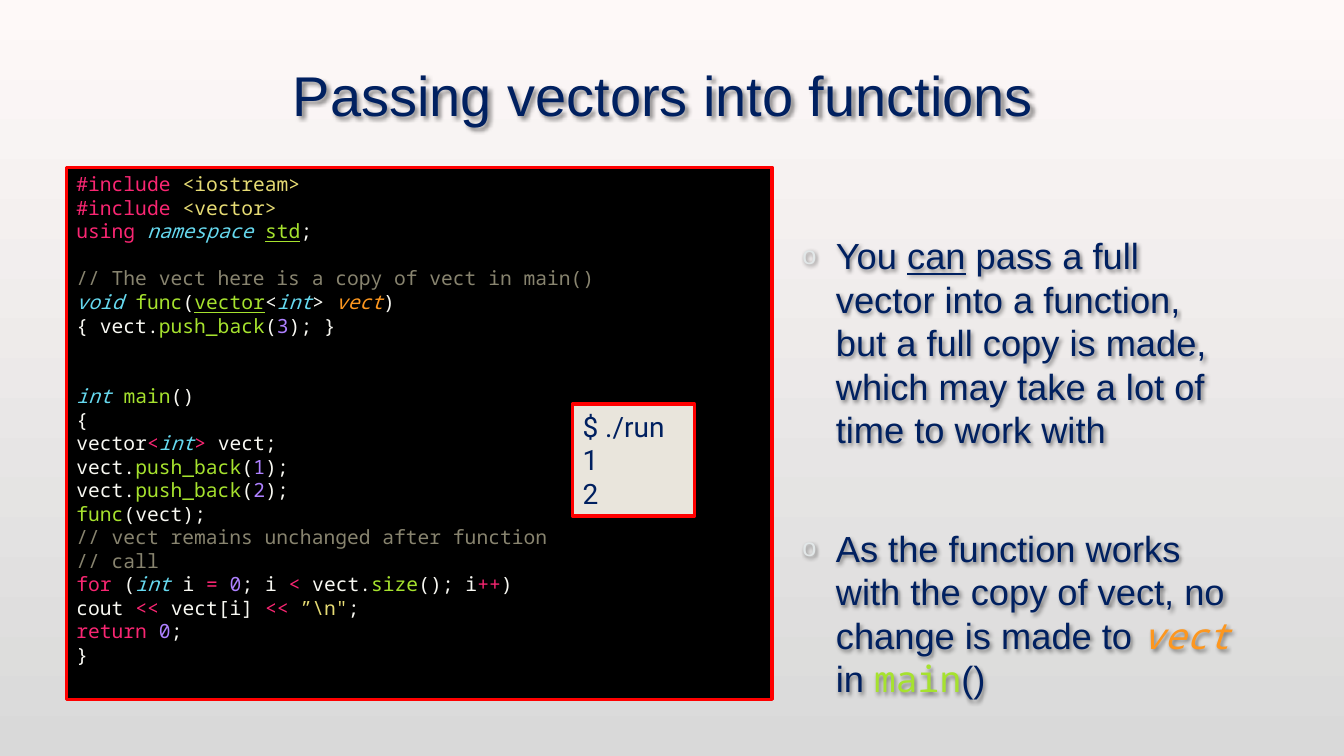
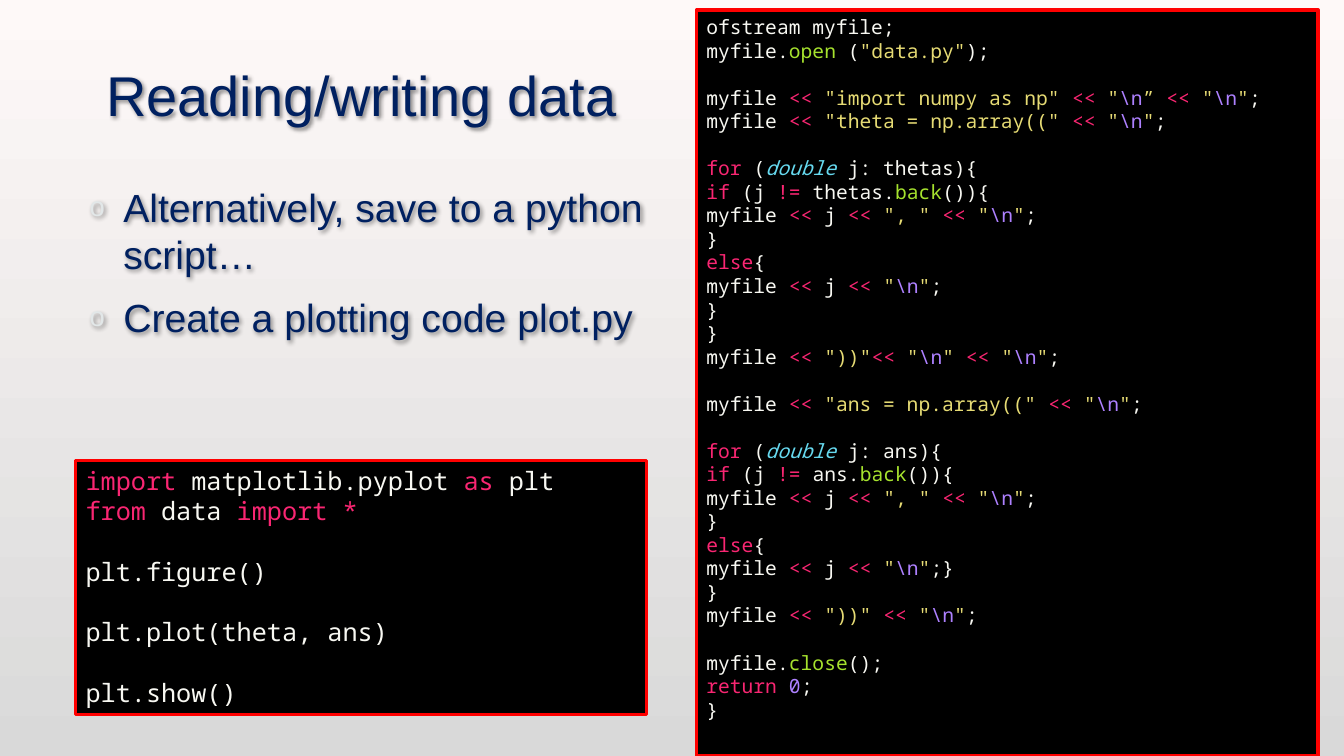
"""Build two lecture slides on C++ vectors and on writing data for Python."""
import dataclasses

import lxml.etree
import pptx
import pptx.dml.color
import pptx.enum.shapes
import pptx.enum.text
import pptx.oxml
import pptx.util


@dataclasses.dataclass(frozen=True)
class Theme:
    background: tuple = ("FEF9F8", "D9D9D9")
    navy: str = "002060"
    code_text: str = "F8F8F2"
    code_fill: str = "000000"
    output_fill: str = "E9E5DC"
    border: str = "FF0000"
    bullet: str = "E2E7E8"
    text_font: str = "Arial"
    code_font: str = "Noto Sans Mono"
    output_font: str = "Roboto"
    title_size: float = 40
    output_size: float = 20
    code_size: float = 14
    line_height: float = 1.2


theme = Theme()
Pt = pptx.util.Pt
RGBColor = pptx.dml.color.RGBColor
NAMESPACE = 'xmlns:a="http://schemas.openxmlformats.org/drawingml/2006/main"'

SYNTAX = {
    "k": {"color": "F92672"},
    "s": {"color": "E6DB74"},
    "t": {"color": "66D9EF", "italic": True},
    "f": {"color": "A6E22E"},
    "c": {"color": "A6E22E", "underline": True},
    "n": {"color": "AE81FF"},
    "a": {"color": "FD971F", "italic": True},
    "m": {"color": "88846F"},
}
SHADOW = f"""<a:effectLst {NAMESPACE}>
<a:outerShdw blurRad="38100" dist="25400" dir="2700000" algn="tl" rotWithShape="0">
<a:srgbClr val="000000"><a:alpha val="45000"/></a:srgbClr></a:outerShdw></a:effectLst>"""
BULLET = f"""<a:pPr {NAMESPACE}><a:buClr><a:srgbClr val="{theme.bullet}"/></a:buClr>
<a:buSzPct val="70000"/><a:buFont typeface="{theme.text_font}"/><a:buChar char="o"/></a:pPr>"""

VECTOR_CODE = r"""`k#include `s<iostream>
`k#include `s<vector>
`kusing `tnamespace `cstd`p;

`m// The vect here is a copy of vect in main()
`tvoid `ffunc`p(`cvector`p<`tint`p> `avect`p)
{ vect.`fpush_back`p(`n3`p); }


`tint `fmain`p()
{
vector`k<`tint`k> `pvect;
vect.`fpush_back`p(`n1`p);
vect.`fpush_back`p(`n2`p);
`ffunc`p(vect);
`m// vect remains unchanged after function
`m// call
`kfor`p (`tint `pi `k= `n0`p; i `k< `pvect.`fsize`p(); i`k++`p)
cout `k<< `pvect[i] `k<< `s”\n"`p;
`kreturn `n0`p;
}"""

FILE_CODE = r"""ofstream myfile;
myfile.`fopen`p (`s"data.py"`p);

myfile `k<< `s"import numpy as np" `k<< `s"`n\n`s” `k<< `s"`n\n`s"`p;
myfile `k<< `s"theta = np.array((" `k<< `s"`n\n`s"`p;

`kfor`p (`tdouble`p j: thetas){
`kif`p (j `k!= `pthetas.`fback`p()){
myfile `k<<`p j `k<< `s", " `k<< `s"`n\n`s"`p;
}
`kelse`p{
myfile `k<<`p j `k<< `s"`n\n`s"`p;
}
}
myfile `k<< `s"))"`k<< `s"`n\n`s" `k<< `s"`n\n`s"`p;

myfile `k<< `s"ans = np.array((" `k<< `s"`n\n`s"`p;

`kfor`p (`tdouble`p j: ans){
`kif`p (j `k!= `pans.`fback`p()){
myfile `k<<`p j `k<< `s", " `k<< `s"`n\n`s"`p;
}
`kelse`p{
myfile `k<<`p j `k<< `s"`n\n`s"`p;}
}
myfile `k<< `s"))" `k<< `s"`n\n`s"`p;

myfile.`fclose`p();
`kreturn `n0`p;
}"""

PLOT_CODE = """`kimport `pmatplotlib.pyplot `kas `pplt
`kfrom`p data `kimport *

plt.figure()

plt.plot(theta, ans)

plt.show()"""

VECTOR_POINTS = """You `ucan`p pass a full vector into a function, but a full copy is made, \
which may take a lot of time to work with

As the function works with the copy of vect, no change is made to `avect`p in `fmain`p()"""

FILE_POINTS = """Alternatively, save to a python script…
Create a plotting code plot.py"""

SLIDES = [
    {
        "title": ("Passing vectors into functions", (66, 18, 815, 99)),
        "points": (VECTOR_POINTS, (563, 163.4, 324, 292), 25.9),
        "code": [(VECTOR_CODE, (47.5, 119.5, 504, 380), theme.code_size)],
        "output": [("$ ./run\n1\n2", (409, 288.7, 87, 80))],
    },
    {
        "title": ("Reading/writing data", (54, 18, 408, 99)),
        "points": (FILE_POINTS, (54, 127.4, 456, 292), 28),
        "code": [
            (FILE_CODE, (497.5, 7.2, 444, 532.8), theme.code_size),
            (PLOT_CODE, (54, 329, 408, 181.4), 18),
        ],
        "output": [],
    },
]


def write(frame, text, *, size, font=theme.text_font, color=theme.navy, align="LEFT", bullet=False):
    """Fill a frame; a backtick and a letter change style, an empty line widens the gap."""
    frame.word_wrap = True
    before, after = (0.2 * size, 6) if bullet else (0, 0)
    line_height = theme.line_height * size
    gap = before
    paragraph = frame.paragraphs[0]
    for line in text.split("\n"):
        if not line:
            gap += line_height + before + after
            continue
        if paragraph.runs:
            paragraph = frame.add_paragraph()
        paragraph.alignment = getattr(pptx.enum.text.PP_ALIGN, align)
        paragraph.line_spacing = Pt(line_height)
        paragraph.space_before, paragraph.space_after = Pt(gap), Pt(after)
        gap = before
        if bullet:
            properties = paragraph._p.get_or_add_pPr()
            properties.set("marL", str(Pt(27)))
            properties.set("indent", str(Pt(-24)))
            properties.extend(list(pptx.oxml.parse_xml(BULLET)))
        for piece in f"`p{line}".split("`")[1:]:
            style, content = piece[0], piece[1:]
            if not content:
                continue
            syntax = SYNTAX.get(style, {})
            run = paragraph.add_run()
            run.text = content
            run.font.size = Pt(size)
            run.font.name = theme.code_font if syntax else font
            run.font.color.rgb = RGBColor.from_string(syntax.get("color", color))
            run.font.italic = syntax.get("italic", False)
            run.font.underline = style == "u" or syntax.get("underline", False)


def add_box(slide, bounds, fill=None):
    """Add a bordered panel, or a text box with shadowed text when there is no fill."""
    lengths = [Pt(length) for length in bounds]
    if fill is None:
        shape = slide.shapes.add_textbox(*lengths)
        shape._element.spPr.append(pptx.oxml.parse_xml(SHADOW))
    else:
        shape = slide.shapes.add_shape(pptx.enum.shapes.MSO_SHAPE.RECTANGLE, *lengths)
        shape.shadow.inherit = False
        shape.fill.solid()
        shape.fill.fore_color.rgb = RGBColor.from_string(fill)
        shape.line.color.rgb = RGBColor.from_string(theme.border)
        shape.line.width = Pt(2.5)
    shape.text_frame.vertical_anchor = pptx.enum.text.MSO_ANCHOR.TOP
    return shape.text_frame


presentation = pptx.Presentation()
presentation.slide_width, presentation.slide_height = Pt(960), Pt(540)

for content in SLIDES:
    slide = presentation.slides.add_slide(presentation.slide_layouts[6])
    background = slide.background.fill
    background.gradient()
    background.gradient_angle = 270
    for stop, color in zip(background.gradient_stops, theme.background):
        stop.color.rgb = RGBColor.from_string(color)

    title, bounds = content["title"]
    frame = add_box(slide, bounds)
    frame.vertical_anchor = pptx.enum.text.MSO_ANCHOR.MIDDLE
    write(frame, title, size=theme.title_size, align="CENTER")

    points, bounds, size = content["points"]
    write(add_box(slide, bounds), points, size=size, bullet=True)

    for code, bounds, size in content["code"]:
        frame = add_box(slide, bounds, theme.code_fill)
        write(frame, code, size=size, font=theme.code_font, color=theme.code_text)

    for output, bounds in content["output"]:
        frame = add_box(slide, bounds, theme.output_fill)
        write(frame, output, size=theme.output_size, font=theme.output_font)

presentation.save("out.pptx")
